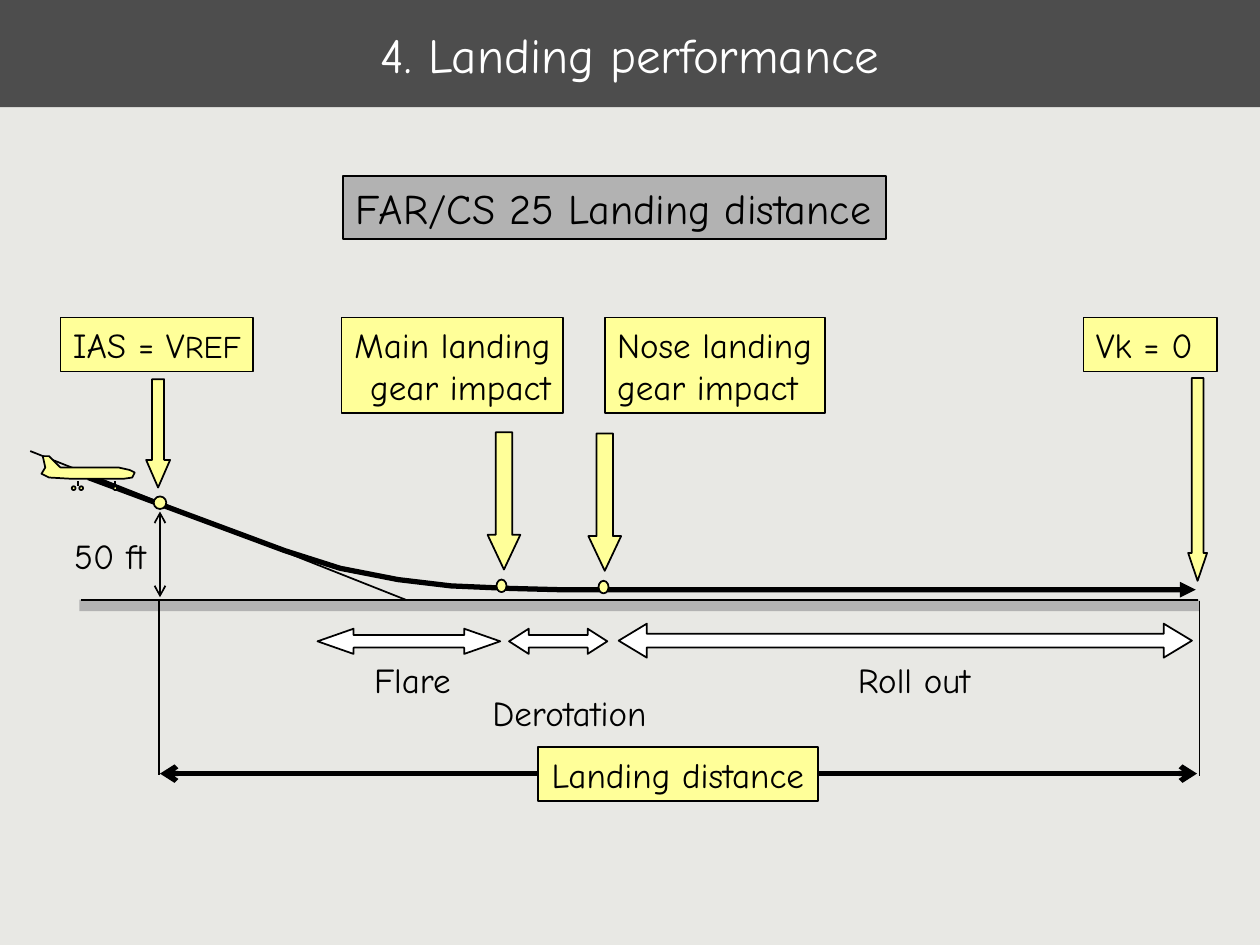
from lxml import etree
from pptx import Presentation
from pptx.dml.color import RGBColor
from pptx.enum.shapes import MSO_CONNECTOR, MSO_SHAPE
from pptx.enum.text import MSO_ANCHOR, PP_ALIGN
from pptx.oxml.ns import qn
from pptx.util import Inches, Pt

RECTANGLE, OVAL = MSO_SHAPE.RECTANGLE, MSO_SHAPE.OVAL
DOWN, DOUBLE = MSO_SHAPE.DOWN_ARROW, MSO_SHAPE.LEFT_RIGHT_ARROW
LEFT, CENTER, RIGHT = PP_ALIGN.LEFT, PP_ALIGN.CENTER, PP_ALIGN.RIGHT
FONT = "Comic Neue"
BACKGROUND = RGBColor(0xE8, 0xE8, 0xE4)
TITLE_GRAY = RGBColor(0x4D, 0x4D, 0x4D)
GRAY = RGBColor(0xB2, 0xB2, 0xB2)
YELLOW = RGBColor(0xFF, 0xFF, 0x99)
WHITE = RGBColor(0xFF, 0xFF, 0xFF)
BLACK = RGBColor(0, 0, 0)

TITLE = "4. Landing performance"
# Runs (text, size), box, alignment, fill; "\v" breaks the line
BOXES = [
    ([("FAR/CS 25 Landing distance", 24)], (2.72, 1.4, 4.31, 0.5), LEFT, GRAY),
    ([("IAS = V", 20), ("REF", 18)], (0.48, 2.52, 1.53, 0.43), CENTER, YELLOW),
    ([("Main landing\vgear impact", 20)], (2.71, 2.52, 1.76, 0.76), RIGHT, YELLOW),
    ([("Nose landing\vgear impact", 20)], (4.8, 2.52, 1.75, 0.76), LEFT, YELLOW),
    ([("Vk = 0", 20)], (8.6, 2.52, 1.06, 0.43), LEFT, YELLOW),
    ([("Landing distance", 20)], (4.27, 5.93, 2.22, 0.43), CENTER, YELLOW),
]
LABELS = [
    ("50 ft", (0.49, 4.19, 0.77, 0.43)),
    ("Flare", (2.87, 5.18, 0.81, 0.43)),
    ("Derotation", (3.81, 5.44, 1.44, 0.43)),
    ("Roll out", (6.71, 5.18, 1.1, 0.43)),
]
GROUND = (0.63, 4.76, 8.89, 0.09)
# Start, end, width, arrowheads at both ends
LINES = [
    ((9.51, 4.76), (0.64, 4.76), 1, False),
    ((1.26, 4.77), (1.26, 6.15), 1, False),
    ((9.52, 4.77), (9.52, 6.16), 1, False),
    ((1.27, 4.06), (1.27, 4.74), 1, True),
    ((9.5, 6.14), (1.27, 6.14), 3, True),
    ((0.24, 3.58), (3.22, 4.76), 1, False),
]
FLIGHT_PATH = [(9.49, 4.68), (4.45, 4.68), (4.05, 4.67), (3.58, 4.65),
               (3.16, 4.6), (2.7, 4.51), (2.26, 4.37), (0.7, 3.79)]
FUSELAGE = [(0.34, 3.62), (0.39, 3.62), (0.48, 3.71), (0.94, 3.71),
            (1.03, 3.73), (1.07, 3.75), (1.05, 3.79), (0.98, 3.8),
            (0.57, 3.8), (0.39, 3.79), (0.33, 3.76), (0.36, 3.71)]
GEAR_LEGS = [0.91, 0.62]
WHEELS = [0.63, 0.57, 0.9]
# Preset, box, adjustments, fill
ARROWS = [
    (DOWN, (1.16, 3.01, 0.19, 0.86), (0.5, 1.15), YELLOW),
    (DOWN, (3.87, 3.43, 0.26, 1.09), (0.5, 1.06), YELLOW),
    (DOWN, (4.67, 3.44, 0.26, 1.09), (0.5, 1.06), YELLOW),
    (DOWN, (9.43, 3, 0.15, 1.61), (0.62, 1.47), YELLOW),
    (DOUBLE, (2.52, 4.99, 1.45, 0.2), (0.5, 1.43), WHITE),
    (DOUBLE, (4.04, 4.99, 0.78, 0.2), (0.5, 0.78), WHITE),
    (DOUBLE, (4.91, 4.95, 4.55, 0.27), (0.4, 0.83), WHITE),
]
MARKERS = [(1.22, 3.94, 0.1, 0.1), (3.94, 4.6, 0.08, 0.1), (4.75, 4.61, 0.08, 0.1)]
# The free side of a box has no inset, so that its text never wraps
INSETS = {LEFT: (0.1, 0), CENTER: (0, 0), RIGHT: (0, 0.1)}


def style(shape, fill, width=1):
    shape.shadow.inherit = False
    if fill is None:
        shape.fill.background()
    else:
        shape.fill.solid()
        shape.fill.fore_color.rgb = fill
    if width:
        shape.line.color.rgb = BLACK
        shape.line.width = Pt(width)
    else:
        shape.line.fill.background()


def add_preset(slide, preset, box, fill, width=1, adjustments=()):
    shape = slide.shapes.add_shape(preset, *map(Inches, box))
    style(shape, fill, width)
    for index, value in enumerate(adjustments):
        shape.adjustments[index] = value
    return shape


def write(shape, runs, alignment, color=BLACK, anchor=MSO_ANCHOR.TOP):
    frame = shape.text_frame
    left, right = INSETS[alignment]
    settings = {"word_wrap": True, "vertical_anchor": anchor,
                "margin_left": Inches(left), "margin_right": Inches(right),
                "margin_top": Inches(0.05), "margin_bottom": Inches(0.05)}
    for name, value in settings.items():
        setattr(frame, name, value)
    paragraph = frame.paragraphs[0]
    paragraph.alignment = alignment
    for text, size in runs:
        for index, line in enumerate(text.split("\v")):
            if index:
                paragraph.add_line_break()
            run = paragraph.add_run()
            run.text = line
            run.font.name = FONT
            run.font.size = Pt(size)
            run.font.color.rgb = color


def add_arrowheads(shape, **ends):
    """Set line ends, given as headEnd or tailEnd with an arrow type."""
    line = shape.line._get_or_add_ln()
    for tag, kind in ends.items():
        etree.SubElement(line, qn("a:" + tag), type=kind)


def add_line(slide, start, end, width=1, arrows=False):
    connector = slide.shapes.add_connector(
        MSO_CONNECTOR.STRAIGHT, *map(Inches, start + end))
    connector.line.color.rgb = BLACK
    connector.line.width = Pt(width)
    if arrows:
        add_arrowheads(connector, headEnd="arrow", tailEnd="arrow")
    etree.SubElement(connector._element.spPr, qn("a:effectLst"))


def add_outline(slide, points, fill=None, width=1, close=False):
    scaled = [(Inches(x), Inches(y)) for x, y in points]
    builder = slide.shapes.build_freeform(*scaled[0])
    builder.add_line_segments(scaled[1:], close=close)
    shape = builder.convert_to_shape()
    style(shape, fill, width)
    return shape


def add_airplane(slide):
    add_outline(slide, FUSELAGE, YELLOW, close=True)
    for x in GEAR_LEGS:
        add_line(slide, (x, 3.82), (x, 3.86))
    for x in WHEELS:
        add_preset(slide, OVAL, (x, 3.86, 0.03, 0.03), YELLOW)


def main():
    presentation = Presentation()
    presentation.slide_width, presentation.slide_height = Inches(10), Inches(7.5)
    slide = presentation.slides.add_slide(presentation.slide_layouts[5])
    slide.background.fill.solid()
    slide.background.fill.fore_color.rgb = BACKGROUND

    title = slide.shapes.title
    title.left, title.top, title.width, title.height = map(Inches, (0, 0, 10, 0.85))
    title.fill.solid()
    title.fill.fore_color.rgb = TITLE_GRAY
    write(title, [(TITLE, 28)], CENTER, WHITE, MSO_ANCHOR.MIDDLE)

    add_preset(slide, RECTANGLE, GROUND, GRAY, width=0)
    flight_path = add_outline(slide, FLIGHT_PATH, width=3)
    add_arrowheads(flight_path, headEnd="triangle")
    for line in LINES:
        add_line(slide, *line)
    for preset, box, adjustments, fill in ARROWS:
        add_preset(slide, preset, box, fill, adjustments=adjustments)
    for box in MARKERS:
        add_preset(slide, OVAL, box, YELLOW)
    for runs, box, alignment, fill in BOXES:
        write(add_preset(slide, RECTANGLE, box, fill), runs, alignment)
    for text, box in LABELS:
        write(slide.shapes.add_textbox(*map(Inches, box)), [(text, 20)], LEFT)
    add_airplane(slide)
    presentation.save("out.pptx")


if __name__ == "__main__":
    main()
